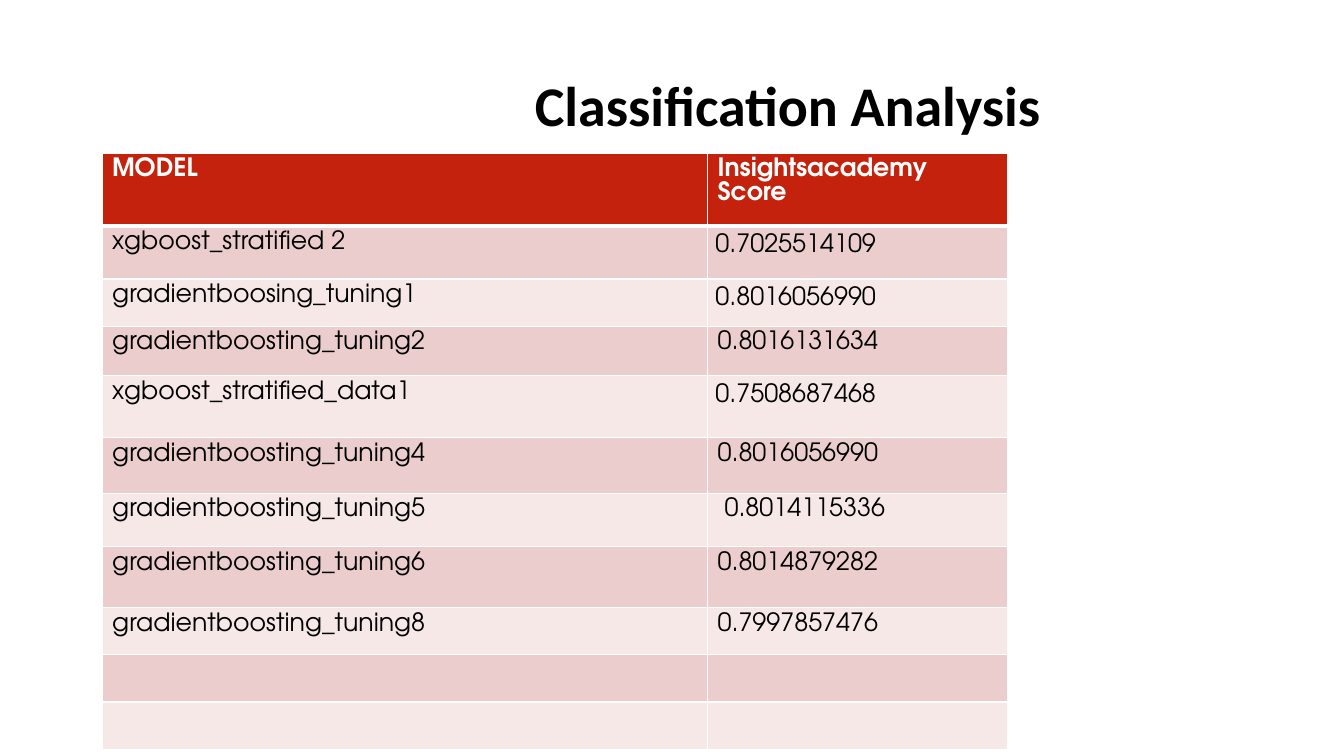
from lxml import etree
from pptx import Presentation
from pptx.dml.color import RGBColor
from pptx.enum.text import MSO_ANCHOR, MSO_AUTO_SIZE
from pptx.oxml.ns import qn
from pptx.util import Cm, Pt

TOP = MSO_ANCHOR.TOP
GROW = MSO_AUTO_SIZE.SHAPE_TO_FIT_TEXT
COLORS = {"head": "C4220D", "dark": "EACDCC", "light": "F5E8E7",
          "white": "FFFFFF", "black": "000000"}
SCORES = [
    ("MODEL", "Insightsacademy Score"),
    ("xgboost_stratified 2", "0.7025514109"),
    ("gradientboosing_tuning1", "0.8016056990"),
    ("gradientboosting_tuning2", "0.8016131634"),
    ("xgboost_stratified_data1", "0.7508687468"),
    ("gradientboosting_tuning4", "0.8016056990"),
    ("gradientboosting_tuning5", " 0.8014115336"),
    ("gradientboosting_tuning6", "0.8014879282"),
    ("gradientboosting_tuning8", "0.7997857476"),
    ("", ""),
    ("", ""),
]
COL_WIDTHS = [15.26, 7.55]
ROW_HEIGHTS = [1.84, 1.33, 1.19, 1.25, 1.56, 1.4, 1.35, 1.53, 1.19, 1.19, 1.19]
INSET_ROWS = (1, 2, 4)


def write(tf, text, font="TeX Gyre Adventor", size=18, color="black", bold=False):
    p = tf.paragraphs[0]
    p.font.size = Pt(size)
    if text:
        r = p.add_run()
        r.text = text
        r.font.name = font
        r.font.size = Pt(size)
        r.font.bold = bold
        r.font.color.rgb = RGBColor.from_string(COLORS[color])


class Deck:
    """Holds the style and the current slide."""

    def __init__(self, prs):
        self.colors = COLORS
        self.s = prs.slides.add_slide(prs.slide_layouts[6])

    def title(self, text, x, y, w, h):
        tf = self.s.shapes.add_textbox(Cm(x), Cm(y), Cm(w), Cm(h)).text_frame
        tf.word_wrap = True
        tf.auto_size = GROW
        write(tf, text, font="Calibri", size=40, bold=True)

    def borders(self, cell, bottom):
        tc_pr = cell._tc.get_or_add_tcPr()
        widths = {"a:lnL": 1, "a:lnR": 1, "a:lnT": 1, "a:lnB": bottom}
        for i, (tag, width) in enumerate(widths.items()):
            ln = etree.Element(qn(tag), w=str(Pt(width)))
            fill = etree.SubElement(ln, qn("a:solidFill"))
            etree.SubElement(fill, qn("a:srgbClr"), val=self.colors["white"])
            tc_pr.insert(i, ln)

    def cell(self, cell, text, fill, header, inset):
        cell.fill.solid()
        cell.fill.fore_color.rgb = RGBColor.from_string(self.colors[fill])
        cell.vertical_anchor = TOP
        if inset:
            cell.margin_left = cell.margin_right = Cm(0.2)
            cell.margin_top = cell.margin_bottom = Cm(0.2)
        write(cell.text_frame, text, color="white" if header else "black", bold=header)
        self.borders(cell, 3 if header else 1)

    def table(self, rows, x, y, widths, heights):
        frame = self.s.shapes.add_table(len(rows), len(widths), Cm(x), Cm(y),
                                        Cm(sum(widths)), Cm(sum(heights)))
        table = frame.table
        for col, width in zip(table.columns, widths):
            col.width = Cm(width)
        for i, (row, height) in enumerate(zip(rows, heights)):
            table.rows[i].height = Cm(height)
            fill = "head" if i == 0 else "dark" if i % 2 else "light"
            for j, text in enumerate(row):
                self.cell(table.cell(i, j), text, fill, i == 0, j == 1 and i in INSET_ROWS)


def main():
    prs = Presentation()
    prs.slide_width, prs.slide_height = Cm(33.87), Cm(19.05)
    deck = Deck(prs)
    deck.table(SCORES, 2.57, 3.86, COL_WIDTHS, ROW_HEIGHTS)
    deck.title("Classification Analysis", 13.23, 1.65, 20.22, 1.96)
    prs.save("out.pptx")


if __name__ == "__main__":
    main()
